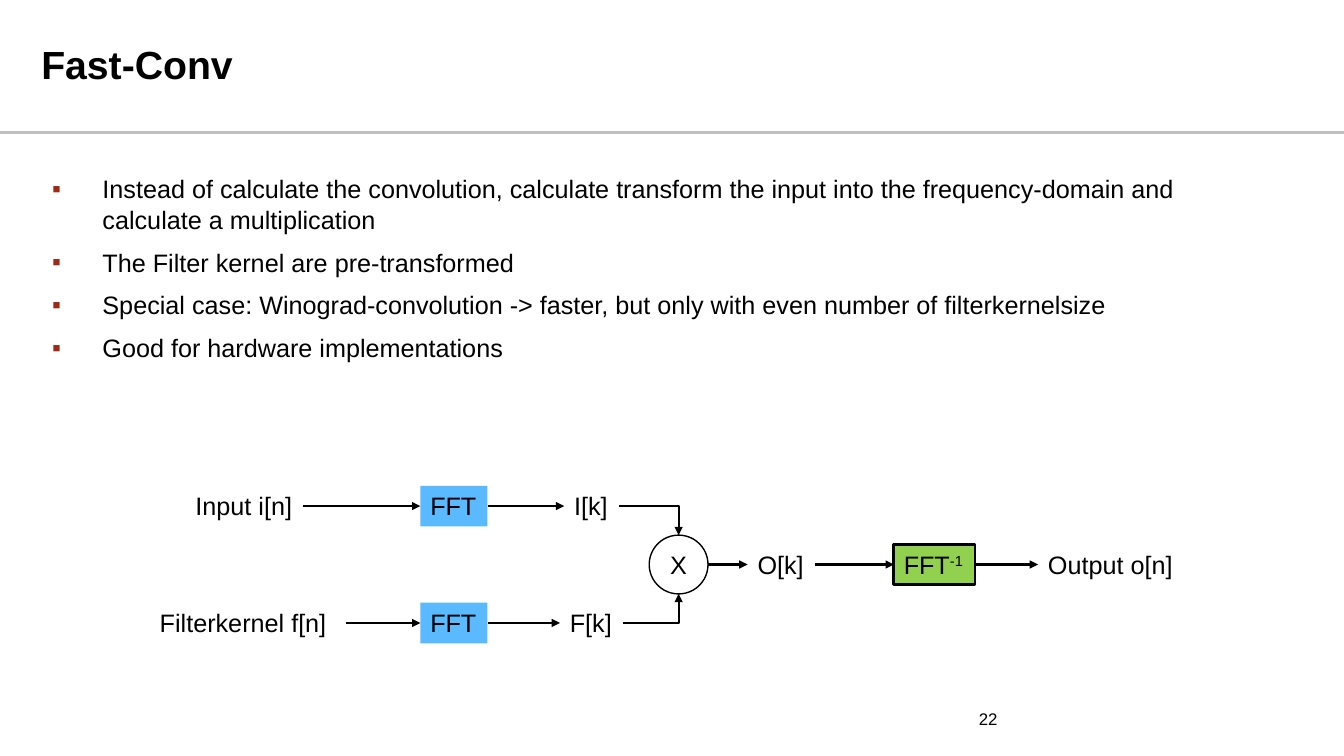
from lxml.etree import SubElement
from pptx import Presentation
from pptx.dml.color import RGBColor
from pptx.enum.shapes import MSO_CONNECTOR, MSO_SHAPE
from pptx.enum.text import MSO_ANCHOR, MSO_AUTO_SIZE, PP_ALIGN
from pptx.oxml.ns import qn
from pptx.util import Pt

COLORS = {
    "text": "000000",
    "rule": "C0C0C1",
    "bullet": "9F2914",
    "transform": "5BB9FF",
    "inverse": "92D050",
}
INPUT_ROW, OUTPUT_ROW, FILTER_ROW = 361.5, 403.25, 445
BOX_HEIGHT = 29


def add_run(paragraph, text, size=18):
    run = paragraph.add_run()
    run.text = text
    run.font.name = "Arial"
    run.font.size = Pt(size)
    run.font.color.rgb = RGBColor.from_string(COLORS["text"])
    return run


def add_line(kind, start, end, color, width, arrow=True):
    connector = slide.shapes.add_connector(kind, *(Pt(value) for value in start + end))
    connector.line.color.rgb = RGBColor.from_string(COLORS[color])
    connector.line.width = Pt(width)
    properties = connector._element.spPr
    if arrow:
        SubElement(properties.find(qn("a:ln")), qn("a:tailEnd"), type="triangle")
    SubElement(properties, qn("a:effectLst"))
    return connector


presentation = Presentation()
presentation.slide_width = Pt(960)
presentation.slide_height = Pt(540)
slide = presentation.slides.add_slide(presentation.slide_layouts[1])

add_line(MSO_CONNECTOR.STRAIGHT, (0, 94.5), (960, 94.5), "rule", 2.25, arrow=False)

title = slide.shapes.title
title.left, title.top, title.width, title.height = Pt(19.5), Pt(4.5), Pt(760), Pt(82)
frame = title.text_frame
frame.auto_size = MSO_AUTO_SIZE.NONE
frame.vertical_anchor = MSO_ANCHOR.MIDDLE
frame.margin_left = frame.margin_right = Pt(10)
frame.margin_top = frame.margin_bottom = 0
frame.paragraphs[0].alignment = PP_ALIGN.LEFT
add_run(frame.paragraphs[0], "Fast-Conv", 28).font.bold = True

body = slide.placeholders[1]
body.left, body.top, body.width, body.height = Pt(30), Pt(120.5), Pt(816), Pt(149)
frame = body.text_frame
frame.auto_size = MSO_AUTO_SIZE.NONE
bullets = [
    "Instead of calculate the convolution, calculate transform the input into the frequency-domain and calculate a multiplication",
    "The Filter kernel are pre-transformed",
    "Special case: Winograd-convolution -> faster, but only with even number of filterkernelsize",
    "Good for hardware implementations",
]
for index, text in enumerate(bullets):
    paragraph = frame.add_paragraph() if index else frame.paragraphs[0]
    paragraph.space_before = Pt(9 if index else 0)
    properties = paragraph._p.get_or_add_pPr()
    properties.set("marL", str(Pt(36)))
    properties.set("indent", str(-Pt(36)))
    bullet_color = SubElement(properties, qn("a:buClr"))
    SubElement(bullet_color, qn("a:srgbClr"), val=COLORS["bullet"])
    SubElement(properties, qn("a:buFont"), typeface="Arial")
    SubElement(properties, qn("a:buChar"), char="▪")
    add_run(paragraph, text)

number = slide.shapes.add_textbox(Pt(666), Pt(499), Pt(56), Pt(29))
frame = number.text_frame
frame.word_wrap = True
frame.vertical_anchor = MSO_ANCHOR.MIDDLE
frame.margin_left = frame.margin_right = Pt(9.5)
frame.margin_top = frame.margin_bottom = Pt(5)
frame.paragraphs[0].alignment = PP_ALIGN.RIGHT
add_run(frame.paragraphs[0], "22", 12)

blocks = [
    ("input", "Input i[n]", 132.5, INPUT_ROW, 84, None),
    ("filter", "Filterkernel f[n]", 107, FILTER_ROW, 140, None),
    ("input FFT", "FFT", 300.25, INPUT_ROW, 48, "transform"),
    ("filter FFT", "FFT", 300.25, FILTER_ROW, 48, "transform"),
    ("I", "I[k]", 403, INPUT_ROW, 39, None),
    ("F", "F[k]", 400, FILTER_ROW, 45, None),
    ("O", "O[k]", 534, OUTPUT_ROW, 48, None),
    ("inverse FFT", "FFT", 638.5, OUTPUT_ROW, 58, "inverse"),
    ("output", "Output o[n]", 741.5, OUTPUT_ROW, 104.5, None),
]
diagram = {}
for name, text, left, center, width, fill in blocks:
    place = (Pt(left), Pt(center - BOX_HEIGHT / 2), Pt(width), Pt(BOX_HEIGHT))
    if fill:
        shape = slide.shapes.add_shape(MSO_SHAPE.RECTANGLE, *place)
        shape.shadow.inherit = False
        shape.fill.solid()
        shape.fill.fore_color.rgb = RGBColor.from_string(COLORS[fill])
        shape.line.fill.background()
    else:
        shape = slide.shapes.add_textbox(*place)
    frame = shape.text_frame
    frame.word_wrap = False
    frame.auto_size = MSO_AUTO_SIZE.SHAPE_TO_FIT_TEXT
    frame.vertical_anchor = MSO_ANCHOR.TOP
    frame.paragraphs[0].alignment = PP_ALIGN.LEFT
    add_run(frame.paragraphs[0], text)
    diagram[name] = shape

inverse = diagram["inverse FFT"]
inverse.line.color.rgb = RGBColor.from_string(COLORS["text"])
inverse.line.width = Pt(2)
exponent = add_run(inverse.text_frame.paragraphs[0], "-1")
exponent.font._element.set("baseline", "30000")

radius = 21
product_x = 484.75
product = slide.shapes.add_shape(
    MSO_SHAPE.OVAL, Pt(product_x - radius), Pt(OUTPUT_ROW - radius), Pt(2 * radius), Pt(2 * radius)
)
product.shadow.inherit = False
product.fill.background()
product.line.color.rgb = RGBColor.from_string(COLORS["text"])
product.line.width = Pt(1)
product.text_frame.vertical_anchor = MSO_ANCHOR.MIDDLE
product.text_frame.paragraphs[0].alignment = PP_ALIGN.CENTER
add_run(product.text_frame.paragraphs[0], "X")

links = [
    ("input", "input FFT"),
    ("filter", "filter FFT"),
    ("input FFT", "I"),
    ("filter FFT", "F"),
    ("O", "inverse FFT"),
    ("inverse FFT", "output"),
]
for source, target in links:
    connector = add_line(MSO_CONNECTOR.STRAIGHT, (0, 0), (0, 0), "text", 1.5)
    connector.begin_connect(diagram[source], 3)
    connector.end_connect(diagram[target], 1)

connector = add_line(
    MSO_CONNECTOR.STRAIGHT, (product_x + radius, OUTPUT_ROW), (534, OUTPUT_ROW), "text", 1.5
)
connector.end_connect(diagram["O"], 1)

for start, end_y in [((442, INPUT_ROW), OUTPUT_ROW - radius), ((445, FILTER_ROW), OUTPUT_ROW + radius)]:
    connector = add_line(MSO_CONNECTOR.ELBOW, start, (product_x, end_y), "text", 1.5)
    connector._element.spPr.find(qn("a:prstGeom")).set("prst", "bentConnector2")

presentation.save("out.pptx")
